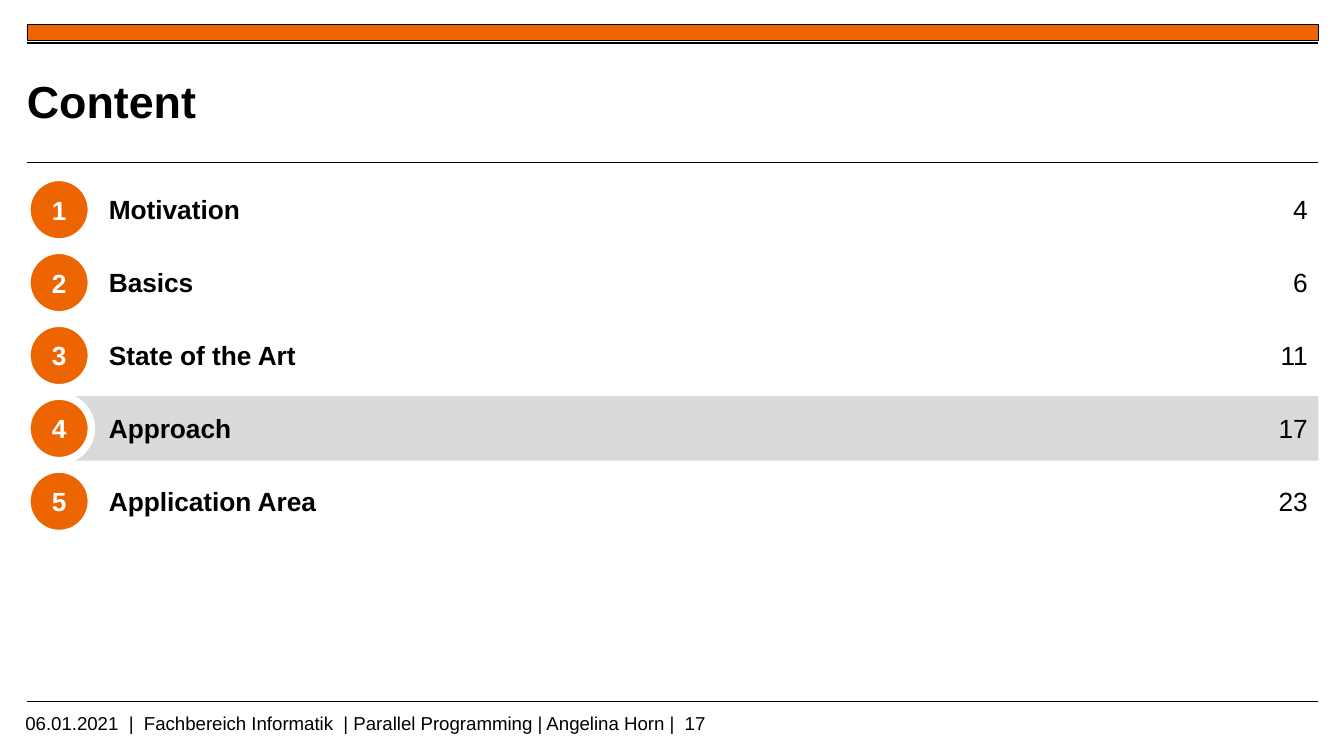
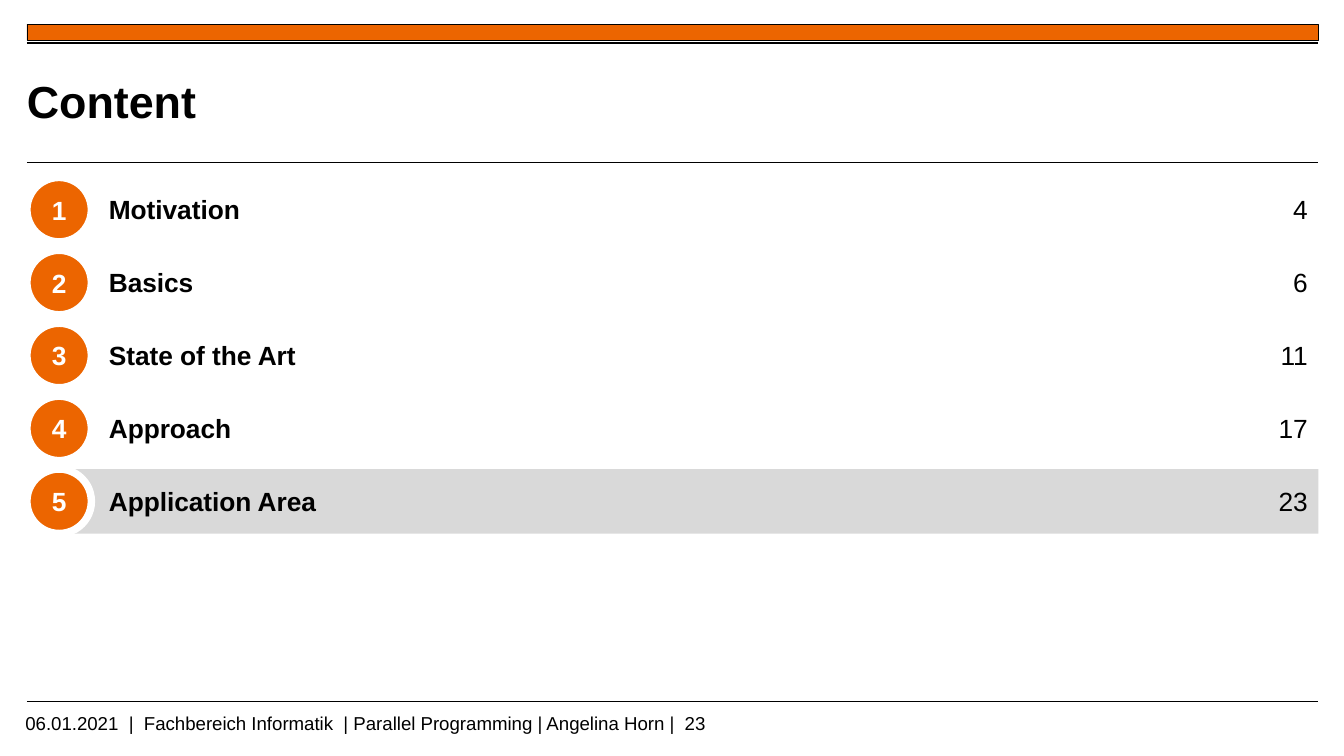
import pptx
import pptx.util
from pptx.dml.color import RGBColor
from pptx.enum.shapes import MSO_CONNECTOR, MSO_SHAPE
from pptx.enum.text import MSO_ANCHOR, PP_ALIGN
from pptx.oxml.ns import qn
from pptx.util import Inches
from lxml import etree

ORANGE = RGBColor(0xEC, 0x65, 0x00)
GREY = RGBColor(0xD9, 0xD9, 0xD9)
BLACK = RGBColor(0, 0, 0)
WHITE = RGBColor(0xFF, 0xFF, 0xFF)

LEFT, RIGHT = 0.2, 9.81
FIRST_ROW, LAST_ROW, ROW_HEIGHT = 1.32, 3.49, 0.48
RULES = [(1.21, 0.6), (0.32, 1.2), (5.22, 0.6)]  # height on the slide, line width
FOOTER = "06.01.2021  |  Fachbereich Informatik  | Parallel Programming | Angelina Horn |  "
SECTIONS = [("Motivation", 4), ("Basics", 6), ("State of the Art", 11),
            ("Approach", 17), ("Application Area", 23)]
PITCH = (LAST_ROW - FIRST_ROW) / (len(SECTIONS) - 1)


def add_shape(slide, kind, box, fill, line=None, width=0):
    sp = slide.shapes.add_shape(kind, *map(Inches, box))
    sp.shadow.inherit = False
    sp.fill.solid()
    sp.fill.fore_color.rgb = fill
    if line is None:
        sp.line.fill.background()
    else:
        sp.line.color.rgb = line
        sp.line.width = pptx.util.Pt(width)
    return sp


def set_text(sp, text, size, color=BLACK, bold=False, align=PP_ALIGN.LEFT,
             insets=(0.1, 0.05, 0.1, 0.05), anchor=MSO_ANCHOR.TOP, wrap=True):
    tf = sp.text_frame
    tf.word_wrap = wrap
    tf.vertical_anchor = anchor
    tf.margin_left, tf.margin_top, tf.margin_right, tf.margin_bottom = map(Inches, insets)
    p = tf.paragraphs[0]
    p.text = text
    p.alignment = align
    p.font.name = "Arial"
    p.font.size = pptx.util.Pt(size)
    p.font.bold = bold
    p.font.color.rgb = color


prs = pptx.Presentation()
prs.slide_width = Inches(10)
prs.slide_height = Inches(10 * 9 / 16)

# One agenda slide for each highlighted section
for current in ("Approach", "Application Area"):
    slide = prs.slides.add_slide(prs.slide_layouts[6])

    # Top band and rules
    add_shape(slide, MSO_SHAPE.RECTANGLE, (LEFT, 0.18, RIGHT - LEFT, 0.12), ORANGE, BLACK, 0.25)
    for y, width in RULES:
        rule = slide.shapes.add_connector(MSO_CONNECTOR.STRAIGHT, Inches(LEFT), Inches(y),
                                          Inches(RIGHT), Inches(y))
        rule.line.color.rgb = BLACK
        rule.line.width = pptx.util.Pt(width)
        etree.SubElement(rule._element.spPr, qn("a:effectLst"))

    # Footer with the page of the current section
    footer = slide.shapes.add_textbox(Inches(0.09), Inches(5.25), Inches(7.95), Inches(0.19))
    set_text(footer, f"{FOOTER}{dict(SECTIONS)[current]}", 10)

    # Title
    title = slide.shapes.add_textbox(Inches(LEFT), Inches(0.4), Inches(7.46), Inches(0.69))
    set_text(title, "Content", 24, bold=True, insets=(0, 0, 0, 0), anchor=MSO_ANCHOR.MIDDLE)

    # Agenda rows
    for i, (name, page) in enumerate(SECTIONS):
        y = FIRST_ROW + i * PITCH
        if name == current:
            add_shape(slide, MSO_SHAPE.RECTANGLE, (0.44, y, RIGHT - 0.44, ROW_HEIGHT), GREY)
        number = slide.shapes.add_textbox(Inches(9.48), Inches(y), Inches(0.25), Inches(ROW_HEIGHT))
        set_text(number, str(page), 14.1, align=PP_ALIGN.RIGHT, insets=(0, 0.12, 0, 0.12))
        label = slide.shapes.add_textbox(Inches(0.74), Inches(y), Inches(6.41), Inches(ROW_HEIGHT))
        set_text(label, name, 14.1, bold=True, insets=(0.07, 0.12, 0, 0.12))
        badge = add_shape(slide, MSO_SHAPE.OVAL, (LEFT, y, ROW_HEIGHT, ROW_HEIGHT), ORANGE, WHITE, 4)
        set_text(badge, str(i + 1), 14.1, WHITE, True, PP_ALIGN.CENTER,
                 (0.07, 0.12, 0.07, 0.12), MSO_ANCHOR.MIDDLE, wrap=False)

prs.save("out.pptx")
